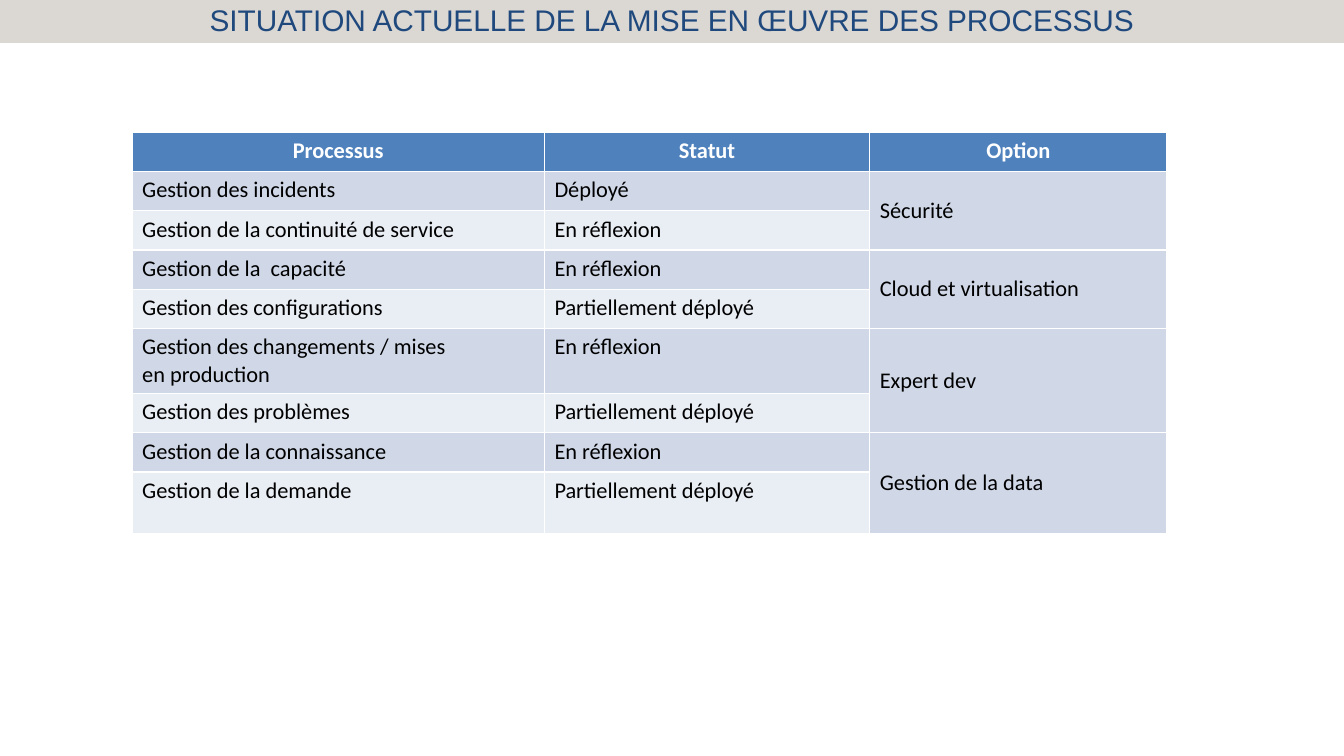
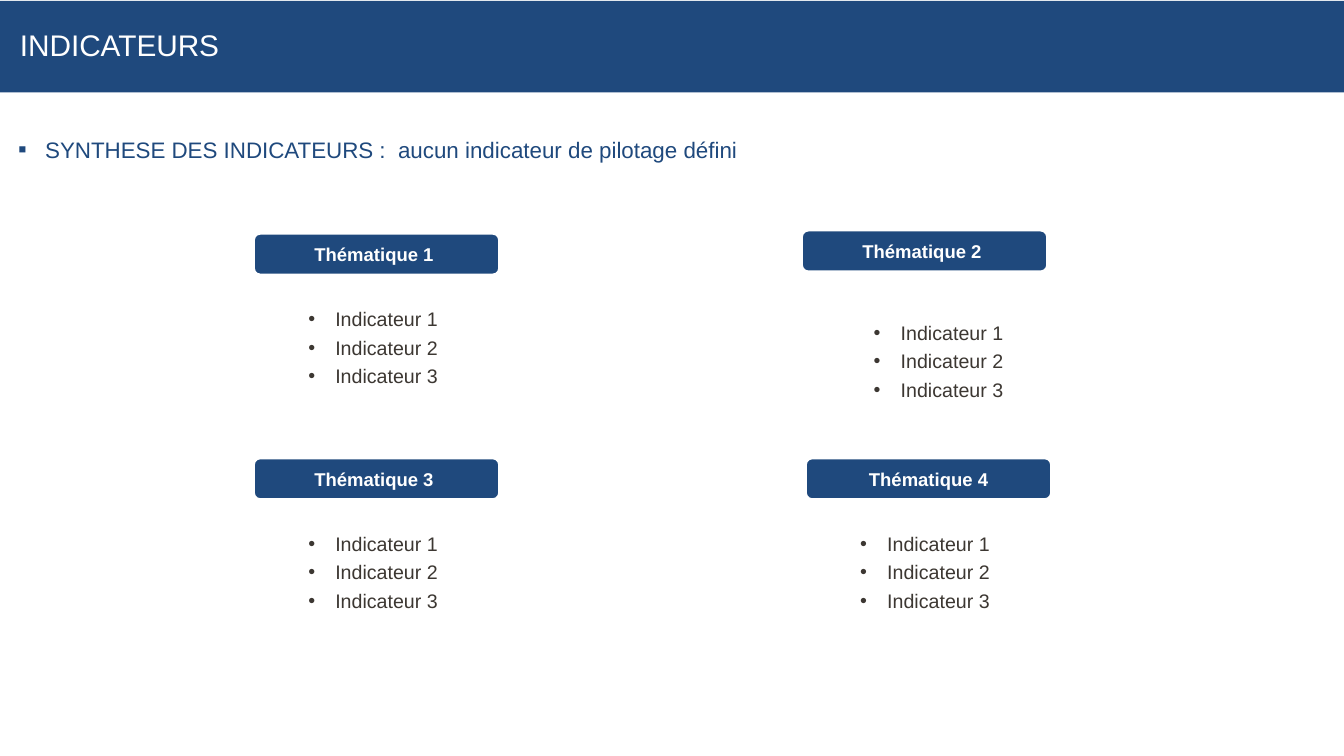
from lxml.etree import SubElement
from pptx import Presentation
from pptx.dml.color import RGBColor
from pptx.enum.shapes import MSO_SHAPE as Shape
from pptx.enum.text import MSO_ANCHOR as Anchor, MSO_AUTO_SIZE as AutoSize, PP_ALIGN as Align
from pptx.oxml.ns import qn
from pptx.util import Cm, Pt

COLOURS = {
    "navy": "1F497D", "sand": "DBD7D3", "grey": "3C3732", "white": "FFFFFF",
    "black": "000000", "header": "4F81BD", "row_dark": "D0D8E8", "row_light": "E9EDF4",
}
SLIDE_WIDTH, SLIDE_HEIGHT = 33.87, 19.05
TITLE_ONLY = 5

HEADERS = ["Processus", "Statut", "Option"]
PROCESSES = [
    ("Gestion des incidents", "Déployé"),
    ("Gestion de la continuité de service", "En réflexion"),
    ("Gestion de la  capacité", "En réflexion"),
    ("Gestion des configurations", "Partiellement déployé"),
    ("Gestion des changements / mises\nen production", "En réflexion"),
    ("Gestion des problèmes", "Partiellement déployé"),
    ("Gestion de la connaissance", "En réflexion"),
    ("Gestion de la demande", "Partiellement déployé"),
]
OPTIONS = ["Sécurité", "Cloud et virtualisation", "Expert dev", "Gestion de la data"]
COLUMN_WIDTHS = [10.39, 8.2, 7.49]
ROW_HEIGHT, TALL_ROW_HEIGHT = 0.99, 1.55
TALL_ROWS = (5, 8)

# Label, left and top of the heading, then offset of its list
THEMES = [
    ("Thématique 1 ", 6.38, 5.87, 0.07, 1.87),
    ("Thématique 2 ", 20.19, 5.79, 0.51, 2.29),
    ("Thématique 3 ", 6.38, 11.53, 0.07, 1.87),
    ("Thématique 4", 20.29, 11.53, 0.07, 1.87),
]
INDICATORS = ["Indicateur 1", "Indicateur 2", "Indicateur 3"]


def colour(name):
    return RGBColor.from_string(COLOURS[name])


def fill(target, name):
    target.fill.solid()
    target.fill.fore_color.rgb = colour(name)


def format_runs(paragraph, size, colour_name, font="Arial", bold=False):
    for run in paragraph.runs:
        run.font.name = font
        run.font.size = Pt(size)
        run.font.bold = bold
        run.font.color.rgb = colour(colour_name)


def set_margins(text_frame, horizontal, vertical):
    text_frame.margin_left = text_frame.margin_right = Cm(horizontal)
    text_frame.margin_top = text_frame.margin_bottom = Cm(vertical)


def add_titled_slide(presentation, title, top, height, band, text_colour, align):
    """Add a slide whose title is a full-width coloured band."""
    slide = presentation.slides.add_slide(presentation.slide_layouts[TITLE_ONLY])
    shape = slide.shapes.title
    shape.left, shape.top = Cm(0), Cm(top)
    shape.width, shape.height = Cm(SLIDE_WIDTH), Cm(height)
    fill(shape, band)
    text_frame = shape.text_frame
    text_frame.text = title
    text_frame.auto_size = AutoSize.NONE
    text_frame.vertical_anchor = Anchor.MIDDLE
    set_margins(text_frame, 0.5, 0.1)
    paragraph = text_frame.paragraphs[0]
    paragraph.alignment = align
    paragraph.line_spacing = 0.9
    format_runs(paragraph, 21.3, text_colour)
    return slide


def fill_cell(cell, text, background, text_colour="black", bold=False, align=Align.LEFT):
    fill(cell, background)
    paragraph = cell.text_frame.paragraphs[0]
    paragraph.text = text
    paragraph.alignment = align
    format_runs(paragraph, 16, text_colour, "Calibri", bold)


def add_process_table(slide):
    row_count = len(PROCESSES) + 1
    heights = [TALL_ROW_HEIGHT if row in TALL_ROWS else ROW_HEIGHT for row in range(row_count)]
    table = slide.shapes.add_table(
        row_count, len(HEADERS), Cm(3.33), Cm(3.33),
        Cm(sum(COLUMN_WIDTHS)), Cm(sum(heights))).table
    for column, width in zip(table.columns, COLUMN_WIDTHS):
        column.width = Cm(width)
    for row, height in zip(table.rows, heights):
        row.height = Cm(height)

    # Header and banded rows
    for column, header in enumerate(HEADERS):
        fill_cell(table.cell(0, column), header, "header", "white", True, Align.CENTER)
    for row, texts in enumerate(PROCESSES, start=1):
        background = "row_dark" if row % 2 else "row_light"
        for column, text in enumerate(texts):
            fill_cell(table.cell(row, column), text, background)

    # Each option spans two processes
    for index, option in enumerate(OPTIONS):
        first = 1 + 2 * index
        cell, below = table.cell(first, 2), table.cell(first + 1, 2)
        fill(below, "row_dark")
        cell.merge(below)
        fill_cell(cell, option, "row_dark")
        cell.vertical_anchor = Anchor.MIDDLE


def set_bullet(paragraph, character, colour_name, left, hanging, percent):
    properties = paragraph._p.get_or_add_pPr()
    properties.set("marL", str(Cm(left)))
    properties.set("indent", str(-Cm(hanging)))
    bullet_colour = SubElement(properties, qn("a:buClr"))
    SubElement(bullet_colour, qn("a:srgbClr"), val=COLOURS[colour_name])
    SubElement(properties, qn("a:buSzPct"), val=str(percent * 1000))
    SubElement(properties, qn("a:buFont"), typeface="Arial")
    SubElement(properties, qn("a:buChar"), char=character)


def add_bullets(slide, texts, left, top, width, height, size, colour_name,
                character="•", indent=2.0, percent=100):
    box = slide.shapes.add_textbox(Cm(left), Cm(top), Cm(width), Cm(height))
    text_frame = box.text_frame
    text_frame.word_wrap = True
    set_margins(text_frame, 0, 0)
    text_frame.text = "\n".join(texts)
    for index, paragraph in enumerate(text_frame.paragraphs):
        set_bullet(paragraph, character, colour_name, indent, 0.68, percent)
        if index:
            paragraph.space_before = Pt(3.5)
        format_runs(paragraph, size, colour_name)


def add_theme(slide, label, left, top, list_shift, list_drop):
    """Add a rounded heading with its list of indicators."""
    shape = slide.shapes.add_shape(
        Shape.ROUNDED_RECTANGLE, Cm(left), Cm(top), Cm(6.22), Cm(1.07))
    shape.shadow.inherit = False
    fill(shape, "navy")
    shape.line.color.rgb = colour("white")
    shape.line.width = Pt(2.5)
    text_frame = shape.text_frame
    text_frame.text = label
    text_frame.vertical_anchor = Anchor.MIDDLE
    paragraph = text_frame.paragraphs[0]
    paragraph.alignment = Align.CENTER
    format_runs(paragraph, 13.2, "white", bold=True)
    add_bullets(slide, INDICATORS, left + list_shift, top + list_drop, 6.17, 4.32, 14, "grey")


def main():
    presentation = Presentation()
    presentation.slide_width, presentation.slide_height = Cm(SLIDE_WIDTH), Cm(SLIDE_HEIGHT)

    # Process status
    slide = add_titled_slide(
        presentation, "SITUATION ACTUELLE DE LA MISE EN ŒUVRE DES PROCESSUS",
        0, 1.08, "sand", "navy", Align.CENTER)
    add_process_table(slide)

    # Indicators by theme
    slide = add_titled_slide(
        presentation, "INDICATEURS", 0.02, 2.31, "navy", "white", Align.LEFT)
    add_bullets(
        slide, ["SYNTHESE DES INDICATEURS :  aucun indicateur de pilotage défini"],
        0.46, 3.43, 31.88, 1.7, 16, "navy", "▪", 0.68, 110)
    for theme in THEMES:
        add_theme(slide, *theme)

    presentation.save("out.pptx")


if __name__ == "__main__":
    main()
